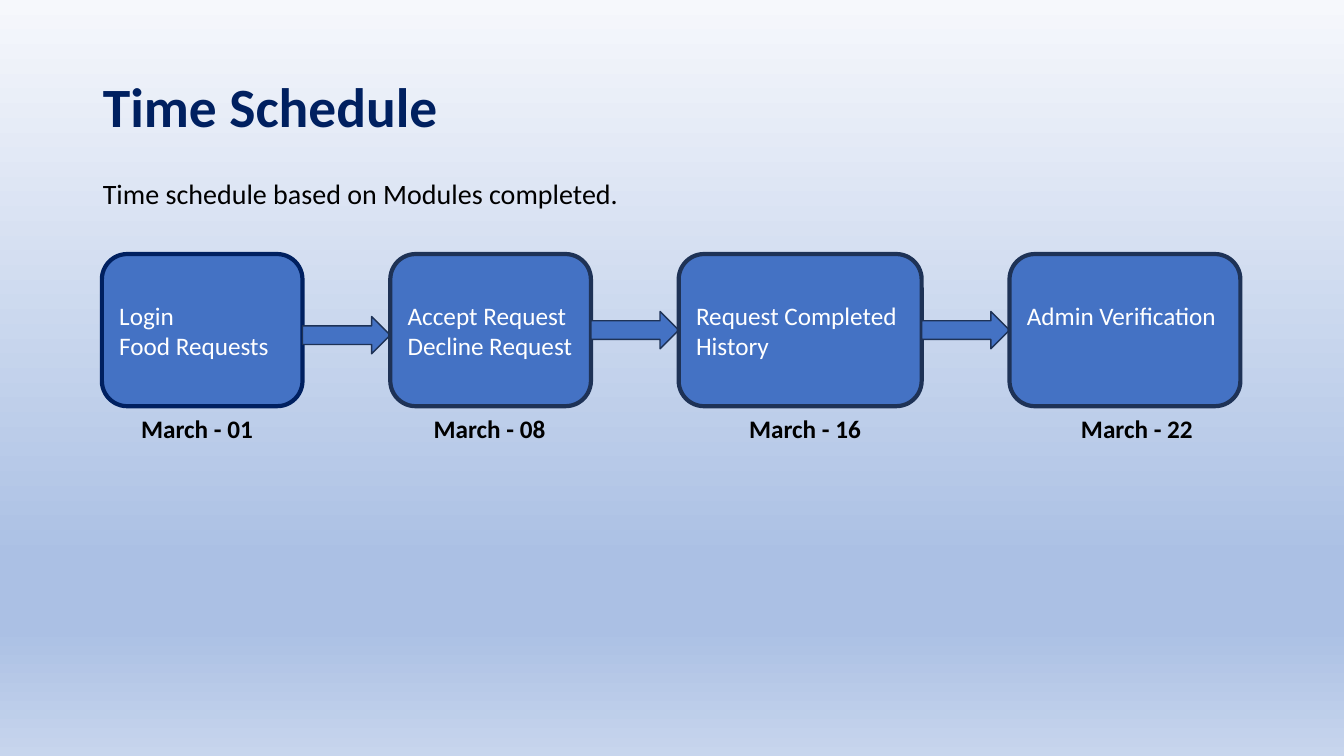
from dataclasses import dataclass
from lxml import etree
from pptx import Presentation, util as u
from pptx.dml.color import RGBColor
from pptx.enum import shapes, text
from pptx.oxml.ns import qn


@dataclass(frozen=True)
class Theme:
    font: str = "Calibri"
    navy: str = "002060"
    edge: str = "1E3256"
    fill: str = "4472C4"
    white: str = "FFFFFF"
    black: str = "000000"
    title_size: float = 39.6
    intro_size: float = 20
    label_size: float = 18
    backdrop: tuple = ((0, "F6F8FC"), (74, "ABC0E4"), (83, "ABC0E4"), (100, "C7D5ED"))


THEME = Theme()
WIDTH, HEIGHT = u.Inches(13.33), u.Inches(7.5)

# Lengths are percentages of the slide's width and height.
FLOW_LEFT, FLOW_TOP, GAP = 7.58, 33.6, 6.53
BOX_HEIGHT, ARROW_HEIGHT = 20.13, 4.93
DATE_TOP, DATE_WIDTH, DATE_HEIGHT = 54, 10.5, 5.38
LINE_HEIGHT = u.Inches(0.3)

# Module names, box width, outline, date, date offset, drop of the arrow that follows
STAGES = [
    (["Login", "Food Requests"], 14.93, THEME.navy, "March - 01", 2.18, 0.67),
    (["Accept Request", "Decline Request"], 14.93, THEME.edge, "March - 08", 2.48, 0),
    (["Request Completed", "History"], 18.08, THEME.edge, "March - 16", 4.5, 0),
    (["Admin Verification"], 17.18, THEME.edge, "March - 22", 4.58, 0),
]


def area(left, top, width, height):
    """Turn percentages of the slide into lengths."""
    return [round(share * side / 100) for share, side in
            zip((left, top, width, height), (WIDTH, HEIGHT) * 2)]


def write(frame, lines, size, color, bold=False, **spacing):
    frame.text = "\n".join(lines)
    for paragraph in frame.paragraphs:
        for name, value in {"alignment": text.PP_ALIGN.LEFT, **spacing}.items():
            setattr(paragraph, name, value)
        font = paragraph.runs[0].font
        for name, value in {"name": THEME.font, "size": u.Pt(size), "bold": bold}.items():
            setattr(font, name, value)
        font.color.rgb = RGBColor.from_string(color)


def paint_background(slide):
    fill = slide.background.fill
    fill.gradient()
    fill.gradient_angle = 270
    stops = fill.gradient_stops[0]._gs.getparent()
    for stop in list(stops):
        stops.remove(stop)
    for position, color in THEME.backdrop:
        stop = etree.SubElement(stops, qn("a:gs"), pos=str(position * 1000))
        etree.SubElement(stop, qn("a:srgbClr"), val=color)


def fill_placeholder(holder, place, line, anchor, *style, **spacing):
    holder.left, holder.top, holder.width, holder.height = area(*place)
    frame = holder.text_frame
    frame.auto_size = text.MSO_AUTO_SIZE.NONE
    frame.vertical_anchor = anchor
    write(frame, [line], *style, line_spacing=0.9, **spacing)


def remove_bullet(paragraph):
    properties = paragraph._p.get_or_add_pPr()
    properties.set("marL", "0")
    properties.set("indent", "0")
    etree.SubElement(properties, qn("a:buNone"))


def add_block(slide, kind, place, edge, weight):
    block = slide.shapes.add_shape(kind, *area(*place))
    block.shadow.inherit = False
    block.fill.solid()
    block.fill.fore_color.rgb = RGBColor.from_string(THEME.fill)
    block.line.color.rgb = RGBColor.from_string(edge)
    block.line.width = u.Pt(weight)
    return block


def add_stage(slide, left, width, modules, edge):
    box = add_block(slide, shapes.MSO_SHAPE.ROUNDED_RECTANGLE,
                    (left, FLOW_TOP, width, BOX_HEIGHT), edge, 3)
    frame = box.text_frame
    frame.vertical_anchor = text.MSO_ANCHOR.MIDDLE
    # A single module sits level with the first line of the others.
    frame.margin_bottom += (2 - len(modules)) * LINE_HEIGHT
    write(frame, modules, THEME.label_size, THEME.white)


def add_arrow(slide, left, drop):
    top = FLOW_TOP + (BOX_HEIGHT - ARROW_HEIGHT) / 2 + drop
    add_block(slide, shapes.MSO_SHAPE.RIGHT_ARROW,
              (left, top, GAP, ARROW_HEIGHT), THEME.edge, 1)


def add_date(slide, left, date):
    label = slide.shapes.add_textbox(*area(left, DATE_TOP, DATE_WIDTH, DATE_HEIGHT))
    label.text_frame.word_wrap = True
    write(label.text_frame, [date], THEME.label_size, THEME.black, True)


def main():
    deck = Presentation()
    deck.slide_width, deck.slide_height = WIDTH, HEIGHT
    slide = deck.slides.add_slide(deck.slide_layouts[1])
    paint_background(slide)

    title, intro = slide.placeholders
    fill_placeholder(title, (6.9, 10.13, 34.66, 8.67), "Time Schedule",
                     text.MSO_ANCHOR.MIDDLE, THEME.title_size, THEME.navy, True)
    fill_placeholder(intro, (6.9, 23.2, 86.25, 66.8),
                     "Time schedule based on Modules completed.",
                     text.MSO_ANCHOR.TOP, THEME.intro_size, THEME.black,
                     space_before=u.Pt(10))
    remove_bullet(intro.text_frame.paragraphs[0])

    left = FLOW_LEFT
    for number, (modules, width, edge, date, offset, drop) in enumerate(STAGES, 1):
        add_stage(slide, left, width, modules, edge)
        add_date(slide, left + offset, date)
        if number < len(STAGES):
            add_arrow(slide, left + width, drop)
        left += width + GAP

    deck.save("out.pptx")


if __name__ == "__main__":
    main()
